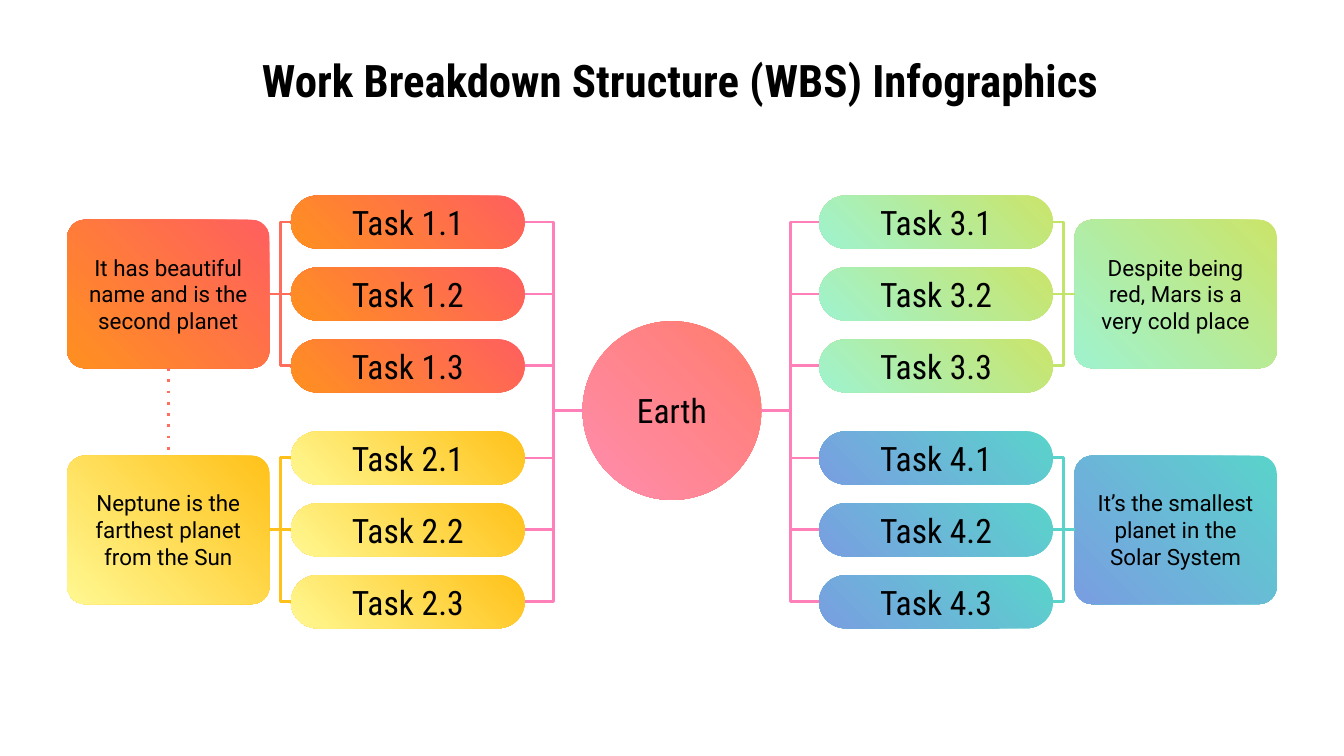
import collections

import lxml.etree
import pptx
import pptx.dml.color
import pptx.enum.shapes
import pptx.enum.text
import pptx.oxml.ns
import pptx.util

CELL = 0.1  # inches per grid column and row
COLUMNS = 100
ROWS = COLUMNS * 9 / 16
NOTE_WIDTH, NOTE_HEIGHT = 15.05, 11.05
TASK_WIDTH, TASK_HEIGHT = 17.4, 3.95
BRANCH_WIDTH, BRANCH_HEIGHT = 34.05, 14.65
MARGIN, UPPER, LOWER = 5, 14.55, 32.1
HUB_SIZE, HUB_TOP = 13.3, 23.9
PINK, CORAL = "FF80B9", "FF6D5D"

SHAPES = pptx.enum.shapes.MSO_SHAPE
CONNECTORS = pptx.enum.shapes.MSO_CONNECTOR
ANCHORS = pptx.enum.text.MSO_ANCHOR
INSET = pptx.util.Inches(0.1)
FRAME_FORMAT = {"word_wrap": True, "margin_left": INSET, "margin_right": INSET,
                "margin_top": INSET, "margin_bottom": INSET}
TITLE_FONT = {"name": "Roboto Condensed", "size": pptx.util.Pt(24), "bold": True}
TASK_FONT = {"name": "Roboto Condensed", "size": pptx.util.Pt(18)}
NOTE_FONT = {"name": "Roboto", "size": pptx.util.Pt(12)}

Branch = collections.namedtuple("Branch", "number note gradient line on_right top")
BRANCHES = [
    Branch(1, "It has beautiful name and is the second planet",
           ("FF5F5F", "FF9020"), CORAL, False, UPPER),
    Branch(2, "Neptune is the farthest planet from the Sun",
           ("FFC119", "FFF892"), "FFC119", False, LOWER),
    Branch(3, "Despite being red, Mars is a very cold place",
           ("CBE469", "9FF3CF"), "C2E469", True, UPPER),
    Branch(4, "It’s the smallest planet in the Solar System",
           ("5AD3CB", "799EE2"), "5AD3CB", True, LOWER),
]


class Box(collections.namedtuple("Box", "left top width height")):
    """An area in grid columns and rows."""

    @property
    def right(self):
        return self.left + self.width

    @property
    def bottom(self):
        return self.top + self.height

    @property
    def center(self):
        return self.left + self.width / 2

    @property
    def middle(self):
        return self.top + self.height / 2


def grid(*lengths):
    return [pptx.util.Inches(length * CELL) for length in lengths]


def color(value):
    return pptx.dml.color.RGBColor.from_string(value)


def apply(target, values):
    for name, value in values.items():
        setattr(target, name, value)


def write(shape, text, font, anchor):
    frame = shape.text_frame
    apply(frame, {**FRAME_FORMAT, "vertical_anchor": anchor})
    para = frame.paragraphs[0]
    para.alignment = pptx.enum.text.PP_ALIGN.CENTER
    span = para.add_run()
    span.text = text
    apply(span.font, font)
    span.font.color.rgb = color("000000")


def add_block(page, kind, box, gradient, text, font, corner=None):
    """A gradient shape, first colour at top right, with centred text."""
    shape = page.shapes.add_shape(kind, *grid(*box))
    shape.shadow.inherit = False
    shape.line.fill.background()
    if corner is not None:
        shape.adjustments[0] = corner
    shape.fill.gradient()
    shape.fill.gradient_angle = 225
    for stop, value in zip(shape.fill.gradient_stops, gradient):
        stop.color.rgb = color(value)
    write(shape, text, font, ANCHORS.MIDDLE)


def add_link(page, start, end, line_color, dash=None):
    """A straight line where the ends are level or plumb, else an elbow."""
    straight = any(abs(a - b) < 0.01 for a, b in zip(start, end))
    kind = CONNECTORS.STRAIGHT if straight else CONNECTORS.ELBOW
    link = page.shapes.add_connector(kind, *grid(*start, *end))
    link.line.width = pptx.util.Pt(1.5)
    link.line.color.rgb = color(line_color)
    properties = link._element.spPr
    qn = pptx.oxml.ns.qn
    if dash:
        line = properties.find(qn("a:ln"))
        lxml.etree.SubElement(line, qn("a:prstDash")).set("val", dash)
    lxml.etree.SubElement(properties, qn("a:effectLst"))


def add_title(page, box, text):
    write(page.shapes.add_textbox(*grid(*box)), text, TITLE_FONT, ANCHORS.TOP)


def add_branch(page, box, branch, hub):
    """A note on the outer side, three tasks on the inner side, and their links."""
    note_left = box.right - NOTE_WIDTH if branch.on_right else box.left
    task_left = box.left if branch.on_right else box.right - TASK_WIDTH
    note = Box(note_left, box.middle - NOTE_HEIGHT / 2, NOTE_WIDTH, NOTE_HEIGHT)
    pitch = (box.height - TASK_HEIGHT) / 2
    tasks = [Box(task_left, box.top + row * pitch, TASK_WIDTH, TASK_HEIGHT)
             for row in range(3)]

    add_block(page, SHAPES.ROUNDED_RECTANGLE, note, branch.gradient,
              branch.note, NOTE_FONT, 0.12)
    for index, task in enumerate(tasks, 1):
        add_block(page, SHAPES.ROUNDED_RECTANGLE, task, branch.gradient,
                  f"Task {branch.number}.{index}", TASK_FONT, 0.5)
        if branch.on_right:
            hub_x, inner_x, outer_x, note_x = hub.right, task.left, task.right, note.left
        else:
            hub_x, inner_x, outer_x, note_x = hub.left, task.right, task.left, note.right
        add_link(page, (hub_x, hub.middle), (inner_x, task.middle), PINK)
        add_link(page, (note_x, note.middle), (outer_x, task.middle), branch.line)
    return note


def main():
    deck = pptx.Presentation()
    deck.slide_width, deck.slide_height = grid(COLUMNS, ROWS)
    page = deck.slides.add_slide(deck.slide_layouts[6])

    add_title(page, Box(4, 2.95, 93.2, 6.3), "Work Breakdown Structure (WBS) Infographics")
    hub = Box((COLUMNS - HUB_SIZE) / 2, HUB_TOP, HUB_SIZE, HUB_SIZE)
    add_block(page, SHAPES.OVAL, hub, ("FF7C6D", "FF8DAD"), "Earth", TASK_FONT)

    notes = []
    for branch in BRANCHES:
        left = COLUMNS - MARGIN - BRANCH_WIDTH if branch.on_right else MARGIN
        box = Box(left, branch.top, BRANCH_WIDTH, BRANCH_HEIGHT)
        notes.append(add_branch(page, box, branch, hub))
    upper, lower = notes[:2]
    add_link(page, (upper.center, upper.bottom), (lower.center, lower.top), CORAL, "dot")

    deck.save("out.pptx")


if __name__ == "__main__":
    main()
